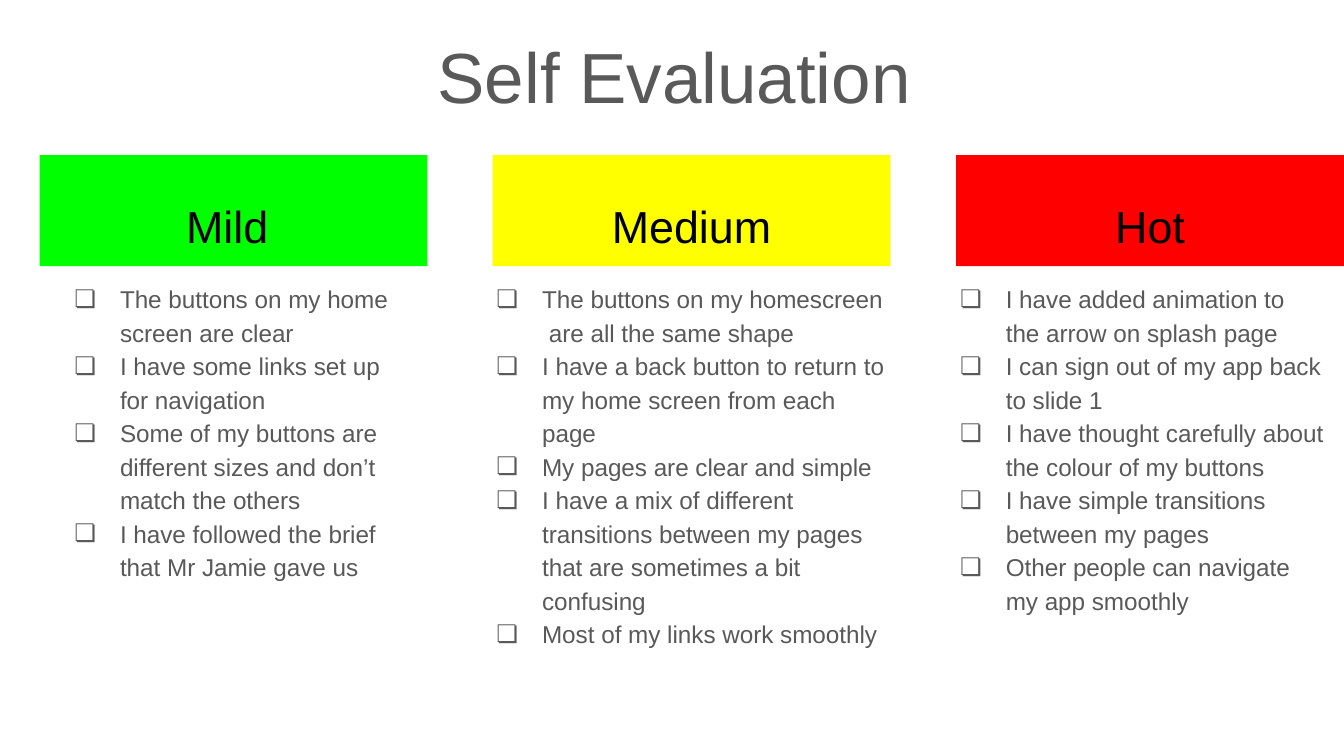
from dataclasses import dataclass
from typing import NamedTuple

from lxml.etree import SubElement
from pptx import Presentation
from pptx.dml.color import RGBColor
from pptx.enum.shapes import MSO_SHAPE
from pptx.enum.text import MSO_ANCHOR, PP_ALIGN
from pptx.oxml.ns import qn
from pptx.util import Pt

EMU_PER_PX = 4572  # 200 px to the inch


@dataclass(frozen=True)
class Theme:
    font: str = "Arial"
    body_color: str = "595959"
    heading_color: str = "000000"
    mild: str = "00FF00"
    medium: str = "FFFF00"
    hot: str = "FF0000"
    title_size: int = 38
    heading_size: int = 24
    body_size: int = 13
    line_spacing: float = 1.15


class Box(NamedTuple):
    left: int
    top: int
    width: int
    height: int

    def emu(self):
        return [px(length) for length in self]


THEME = Theme()
SLIDE_WIDTH, SLIDE_HEIGHT = 2000, 1125
INSET = 20
HEADING_HEIGHT, LIST_HEIGHT = 165, 696
COLUMN_TOP, COLUMN_HEIGHT = 231, 862
LIST_INDENT, BULLET_OFFSET = 100, 68
BULLET = "❏"

# Heading, colour, column left and width, list shift and width, items
COLUMNS = [
    ("Mild ", THEME.mild, 59, 577, 0, 577, [
        "The buttons on my home screen are clear",
        "I have some links set up for navigation",
        "Some of my buttons are different sizes and don’t match the others",
        "I have followed the brief that Mr Jamie gave us",
    ]),
    ("Medium", THEME.medium, 733, 592, -46, 650, [
        "The buttons on my homescreen  are all the same shape",
        "I have a back button to return to my home screen from each page",
        "My pages are clear and simple",
        "I have a mix of different transitions between my pages "
        "that are sometimes a bit confusing",
        "Most of my links work smoothly",
    ]),
    ("Hot", THEME.hot, 1423, 577, -46, 613, [
        "I have added animation to the arrow on splash page",
        "I can sign out of my app back to slide 1",
        "I have thought carefully about the colour of my buttons",
        "I have simple transitions between my pages",
        "Other people can navigate my app smoothly",
    ]),
]


def px(length):
    return length * EMU_PER_PX


def prepare_frame(shape, anchor=MSO_ANCHOR.TOP):
    """Set wrapping, insets and anchor, and return the text frame."""
    frame = shape.text_frame
    frame.word_wrap = True
    frame.vertical_anchor = anchor
    frame.margin_left = frame.margin_right = px(INSET)
    frame.margin_top = frame.margin_bottom = px(INSET)
    return frame


def add_run(paragraph, text, size, color):
    run = paragraph.add_run()
    run.text = text
    run.font.name = THEME.font
    run.font.size = Pt(size)
    run.font.color.rgb = RGBColor.from_string(color)


def add_bullet(paragraph):
    properties = paragraph._p.get_or_add_pPr()
    properties.set("marL", str(px(LIST_INDENT)))
    properties.set("indent", str(-px(BULLET_OFFSET)))
    bullet_color = SubElement(properties, qn("a:buClr"))
    SubElement(bullet_color, qn("a:srgbClr"), val=THEME.body_color)
    SubElement(properties, qn("a:buFont"), typeface=THEME.font)
    SubElement(properties, qn("a:buChar"), char=BULLET)


def add_title(slide, box, text):
    shape = slide.shapes.add_textbox(*box.emu())
    paragraph = prepare_frame(shape).paragraphs[0]
    paragraph.alignment = PP_ALIGN.CENTER
    add_run(paragraph, text, THEME.title_size, THEME.body_color)


def add_heading(slide, box, text, color):
    shape = slide.shapes.add_shape(MSO_SHAPE.RECTANGLE, *box.emu())
    shape.shadow.inherit = False
    shape.fill.solid()
    shape.fill.fore_color.rgb = RGBColor.from_string(color)
    shape.line.fill.background()
    paragraph = prepare_frame(shape, MSO_ANCHOR.BOTTOM).paragraphs[0]
    paragraph.alignment = PP_ALIGN.CENTER
    add_run(paragraph, text, THEME.heading_size, THEME.heading_color)


def add_checklist(slide, box, items):
    shape = slide.shapes.add_textbox(*box.emu())
    frame = prepare_frame(shape)
    for index, item in enumerate(items):
        paragraph = frame.add_paragraph() if index else frame.paragraphs[0]
        paragraph.line_spacing = THEME.line_spacing
        add_bullet(paragraph)
        add_run(paragraph, item, THEME.body_size, THEME.body_color)


def add_column(slide, box, heading, color, list_shift, list_width, items):
    """Place a coloured heading at the top of the box and a checklist below."""
    add_heading(slide, box._replace(height=HEADING_HEIGHT), heading, color)
    list_box = Box(box.left + list_shift, box.top + box.height - LIST_HEIGHT,
                   list_width, LIST_HEIGHT)
    add_checklist(slide, list_box, items)


def main():
    presentation = Presentation()
    presentation.slide_width = px(SLIDE_WIDTH)
    presentation.slide_height = px(SLIDE_HEIGHT)
    slide = presentation.slides.add_slide(presentation.slide_layouts[6])
    for heading, color, left, width, shift, list_width, items in COLUMNS:
        box = Box(left, COLUMN_TOP, width, COLUMN_HEIGHT)
        add_column(slide, box, heading, color, shift, list_width, items)
    add_title(slide, Box(550, 28, 907, 166), "Self Evaluation")
    presentation.save("out.pptx")


if __name__ == "__main__":
    main()
